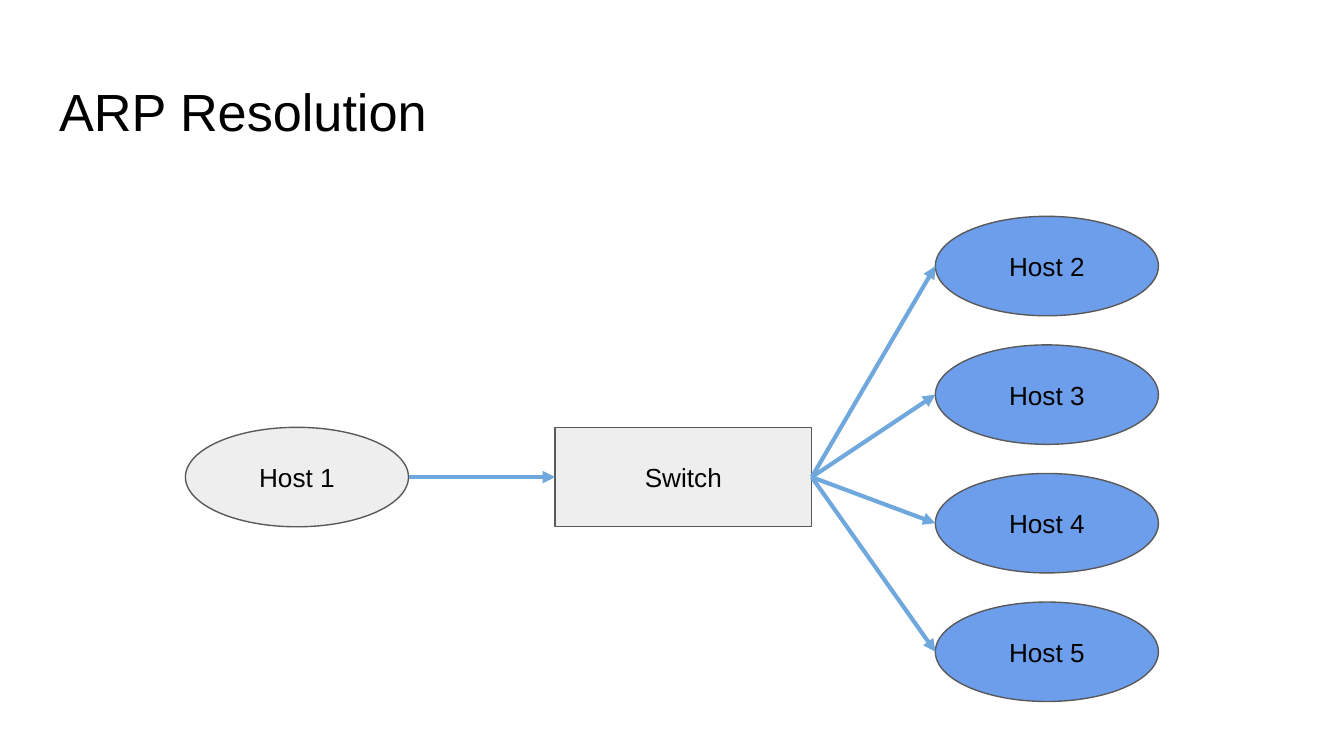
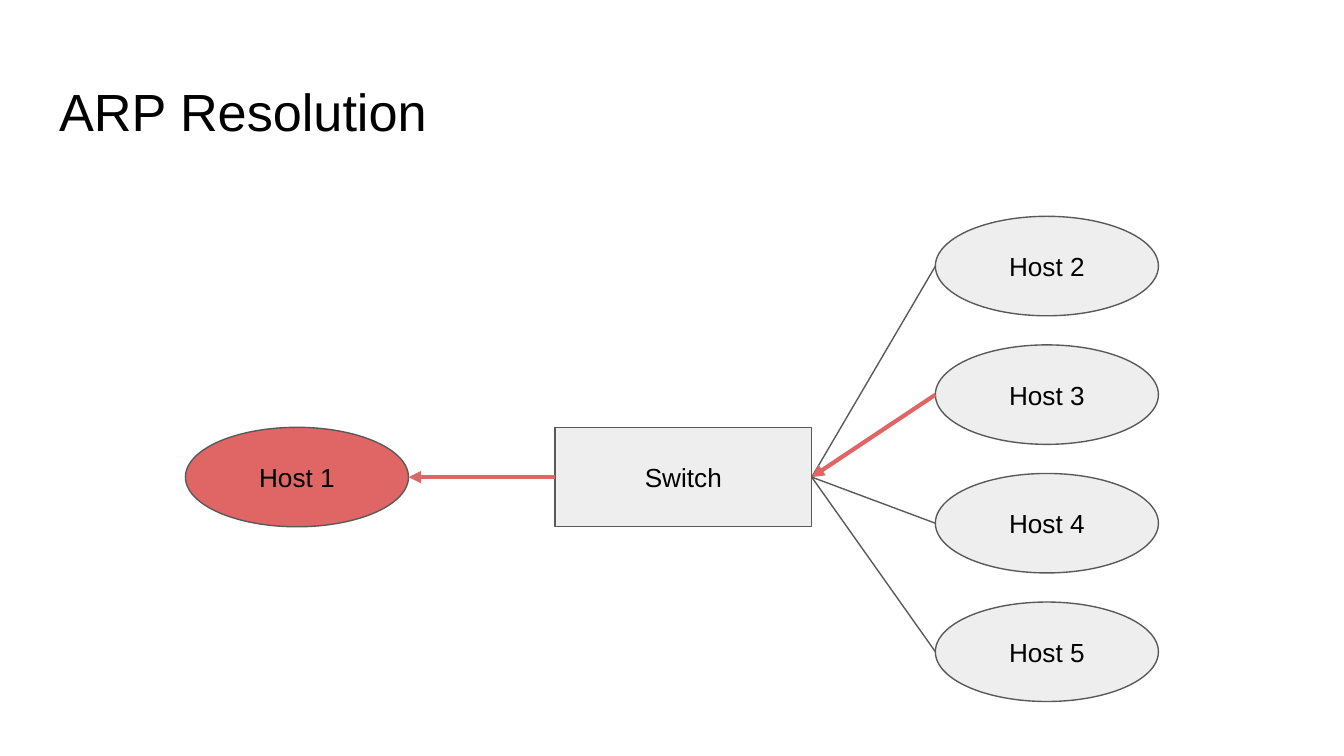
"""Build two slides showing an ARP request broadcast and its reply."""
from lxml import etree
from pptx import Presentation
from pptx import util as u
from pptx.dml.color import RGBColor
from pptx.enum import shapes, text
from pptx.oxml.ns import qn

COLORS = {"white": "FFFFFF", "black": "000000", "idle": "EEEEEE", "outline": "595959",
          "request": "6D9EEB", "request_arrow": "6FA8DC", "reply": "E06666"}
FONT = "Arial"
SLIDE_WIDTH = 10
NODE_HEIGHT = 0.74
HOST_WIDTH = 1.66
SENDER_LEFT, SWITCH_LEFT, HOSTS_LEFT = 1.38, 4.13, 6.96
SWITCH_WIDTH = 1.91
MIDDLE_TOP = 3.18
HOSTS_TOP, HOSTS_BOTTOM = 1.61, 4.48
HOST_NAMES = ["Host 2", "Host 3", "Host 4", "Host 5"]
HOST_STEP = (HOSTS_BOTTOM - HOSTS_TOP) / (len(HOST_NAMES) - 1)
MIDDLE = MIDDLE_TOP + NODE_HEIGHT / 2

request_link = ("request_arrow", 2.25, "tailEnd")
reply_link = ("reply", 2.25, "headEnd")
idle_link = ("outline", 0.75, None)
STAGES = [
    {"sender": "idle", "hosts": "request", "sender_link": request_link,
     "host_links": [request_link] * 4},
    {"sender": "reply", "hosts": "idle", "sender_link": reply_link,
     "host_links": [idle_link, reply_link, idle_link, idle_link]},
]


def add_node(slide, kind, label, left, top, width, fill):
    box = slide.shapes.add_shape(kind, u.Inches(left), u.Inches(top),
                                 u.Inches(width), u.Inches(NODE_HEIGHT))
    box.shadow.inherit = False
    box.fill.solid()
    box.fill.fore_color.rgb = RGBColor.from_string(COLORS[fill])
    box.line.color.rgb = RGBColor.from_string(COLORS["outline"])
    box.line.width = u.Pt(0.75)
    frame = box.text_frame
    frame.text = label
    frame.vertical_anchor = text.MSO_ANCHOR.MIDDLE
    frame.margin_left = frame.margin_right = u.Inches(0.1)
    frame.margin_top = frame.margin_bottom = u.Inches(0.1)
    para = frame.paragraphs[0]
    para.alignment = text.PP_ALIGN.CENTER
    span = para.runs[0]
    span.font.name = FONT
    span.font.size = u.Pt(14)
    span.font.color.rgb = RGBColor.from_string(COLORS["black"])


def add_link(slide, start, end, style):
    color, width, arrow_end = style
    link = slide.shapes.add_connector(shapes.MSO_CONNECTOR.STRAIGHT,
                                      *[u.Inches(value) for value in start + end])
    link.line.color.rgb = RGBColor.from_string(COLORS[color])
    link.line.width = u.Pt(width)
    properties = link._element.spPr
    if arrow_end:
        outline = properties.find(qn("a:ln"))
        etree.SubElement(outline, qn("a:" + arrow_end), type="triangle")
    etree.SubElement(properties, qn("a:effectLst"))


deck = Presentation()
deck.slide_width = u.Inches(SLIDE_WIDTH)
deck.slide_height = u.Inches(SLIDE_WIDTH * 9 / 16)
background = deck.slide_master.background.fill
background.solid()
background.fore_color.rgb = RGBColor.from_string(COLORS["white"])

for stage in STAGES:
    page = deck.slides.add_slide(deck.slide_layouts[5])

    title = page.shapes.title
    title.left, title.top = u.Inches(0.34), u.Inches(0.49)
    title.width, title.height = u.Inches(9.32), u.Inches(0.63)
    frame = title.text_frame
    frame.text = "ARP Resolution"
    frame.auto_size = text.MSO_AUTO_SIZE.NONE
    frame.vertical_anchor = text.MSO_ANCHOR.TOP
    frame.margin_left = frame.margin_right = u.Inches(0.1)
    frame.margin_top = frame.margin_bottom = u.Inches(0.1)
    para = frame.paragraphs[0]
    para.alignment = text.PP_ALIGN.LEFT
    span = para.runs[0]
    span.font.name = FONT
    span.font.size = u.Pt(28)
    span.font.color.rgb = RGBColor.from_string(COLORS["black"])

    add_node(page, shapes.MSO_SHAPE.RECTANGLE, "Switch",
             SWITCH_LEFT, MIDDLE_TOP, SWITCH_WIDTH, "idle")
    add_node(page, shapes.MSO_SHAPE.OVAL, "Host 1",
             SENDER_LEFT, MIDDLE_TOP, HOST_WIDTH, stage["sender"])
    for row, name in enumerate(HOST_NAMES):
        add_node(page, shapes.MSO_SHAPE.OVAL, name, HOSTS_LEFT,
                 HOSTS_TOP + row * HOST_STEP, HOST_WIDTH, stage["hosts"])

    add_link(page, (SENDER_LEFT + HOST_WIDTH, MIDDLE), (SWITCH_LEFT, MIDDLE),
             stage["sender_link"])
    for row, style in enumerate(stage["host_links"]):
        host_middle = HOSTS_TOP + row * HOST_STEP + NODE_HEIGHT / 2
        add_link(page, (SWITCH_LEFT + SWITCH_WIDTH, MIDDLE),
                 (HOSTS_LEFT, host_middle), style)

deck.save("out.pptx")
